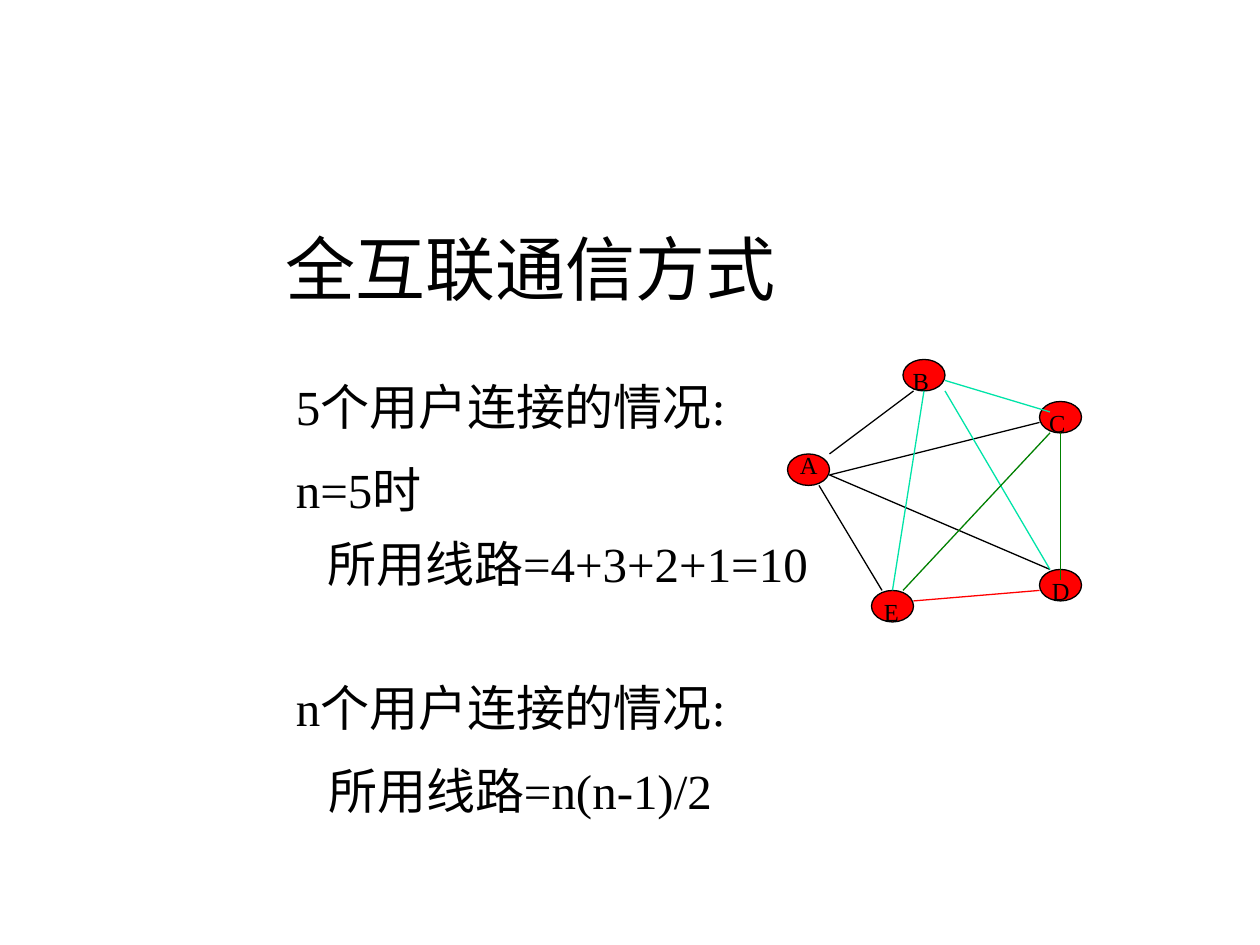
"""Builds a slide on fully interconnected communication between users."""
from lxml.etree import SubElement
from pptx import Presentation
from pptx.dml.color import RGBColor
from pptx.enum.shapes import MSO_CONNECTOR, MSO_SHAPE
from pptx.enum.text import MSO_ANCHOR, MSO_AUTO_SIZE, PP_ALIGN
from pptx.oxml.ns import qn
from pptx.util import Pt

BLACK = RGBColor(0x00, 0x00, 0x00)
RED = RGBColor(0xFF, 0x00, 0x00)
TEAL = RGBColor(0x00, 0xE4, 0xA8)
GREEN = RGBColor(0x00, 0x80, 0x00)

LEFT, TOP, GRID = 450, 205.4, 6
NODES = {"D": (24, 20), "A": (0, 9), "C": (24, 4), "B": (11, 0), "E": (8, 22)}
LABEL_SHIFTS = {"A": (0, -6), "B": (-1.5, 0), "C": (-1.5, 0)}
LINKS = [
    (BLACK, (4, 9), (12, 3)),
    (BLACK, (4, 11), (24, 6)),
    (BLACK, (4, 11), (25, 20)),
    (BLACK, (3, 12), (9, 22)),
    (TEAL, (13, 3), (10, 22)),
    (TEAL, (15, 3), (25, 20)),
    (TEAL, (15, 2), (25, 5)),
    (GREEN, (25, 7), (11, 22)),
    (GREEN, (26, 7), (26, 21)),
    (RED, (24, 22), (12, 23)),
]


def grid_point(col, row):
    return LEFT + col * GRID, TOP + row * GRID


class SlideBuilder:
    font = "Times New Roman"
    line_width = Pt(0.75)

    def __init__(self, slide):
        self.slide = slide

    def fill_text(self, sp, lines, size):
        tf = sp.text_frame
        tf.word_wrap = True
        tf.auto_size = MSO_AUTO_SIZE.NONE
        tf.vertical_anchor = MSO_ANCHOR.TOP
        for i, (text, indent) in enumerate(lines):
            p = tf.add_paragraph() if i else tf.paragraphs[0]
            p.text = text
            p.alignment = PP_ALIGN.LEFT
            p.space_before = Pt(size / 2 if i else 0)
            if indent:
                p._p.get_or_add_pPr().set("marL", str(Pt(indent)))
            p.font.name = self.font
            p.font.size = Pt(size)
            p.font.color.rgb = BLACK

    def title(self, text, x, y, w, h):
        sp = self.slide.shapes.title
        sp.left, sp.top, sp.width, sp.height = Pt(x), Pt(y), Pt(w), Pt(h)
        self.fill_text(sp, [(text, 0)], 40)

    def text(self, lines, x, y, w, h, size=28):
        sp = self.slide.shapes.add_textbox(Pt(x), Pt(y), Pt(w), Pt(h))
        self.fill_text(sp, lines, size)

    def node(self, x, y):
        sp = self.slide.shapes.add_shape(
            MSO_SHAPE.OVAL, Pt(x), Pt(y), Pt(4 * GRID), Pt(3 * GRID))
        sp.shadow.inherit = False
        sp.fill.solid()
        sp.fill.fore_color.rgb = RED
        sp.line.color.rgb = BLACK
        sp.line.width = self.line_width

    def link(self, start, end, color):
        line = self.slide.shapes.add_connector(
            MSO_CONNECTOR.STRAIGHT, *map(Pt, start + end))
        line.line.color.rgb = color
        line.line.width = self.line_width
        SubElement(line._element.spPr, qn("a:effectLst"))


def main():
    prs = Presentation()
    prs.slide_width, prs.slide_height = Pt(720), Pt(540)
    s = SlideBuilder(prs.slides.add_slide(prs.slide_layouts[5]))

    s.title("全互联通信方式", 156, 125.4, 480, 98.5)
    for cell in NODES.values():
        s.node(*grid_point(*cell))
    for color, start, end in LINKS:
        s.link(grid_point(*start), grid_point(*end), color)

    s.text([("5个用户连接的情况:", 0), ("n=5时", 0)], 162, 211.5, 462, 91.5)
    s.text([("所用线路=4+3+2+1=10", 0)], 180, 301.5, 468, 84)
    s.text([("n个用户连接的情况:", 0), ("所用线路=n(n-1)/2", 18.5)],
           162, 383.5, 396, 91.5)

    for name, cell in NODES.items():
        x, y = grid_point(*cell)
        dx, dy = LABEL_SHIFTS.get(name, (0, 0))
        s.text([(name, 0)], x + dx, y + dy, 25, 24, size=14)

    prs.save("out.pptx")


if __name__ == "__main__":
    main()
